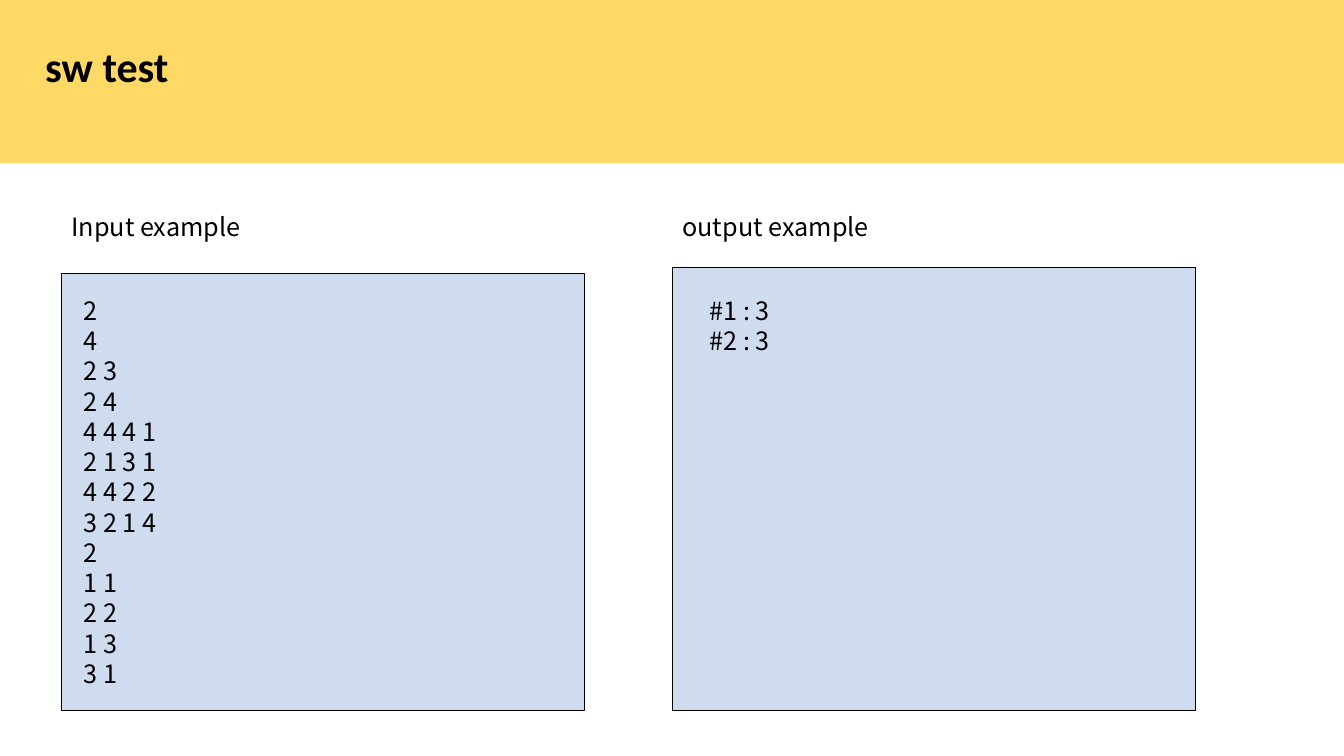
import pptx
import pptx.dml.color
import pptx.enum.shapes
import pptx.enum.text
import pptx.oxml.ns
import pptx.util
from dataclasses import dataclass
from lxml import etree

Inches = pptx.util.Inches
Pt = pptx.util.Pt


@dataclass(frozen=True)
class Theme:
    band: str = "FFD966"
    panel: str = "B4C7E7"
    panel_opacity: int = 64
    ink: str = "000000"
    title_font: str = "Calibri"
    body_font: str = "Noto Sans CJK KR"
    title_size: float = 30
    body_size: float = 18
    body_leading: float = 21.6
    outline: float = 0.5


class SlideBuilder:
    def __init__(self, slide, theme):
        self.slide = slide
        self.theme = theme

    def rectangle(self, left, top, width, height, color):
        shape = self.slide.shapes.add_shape(
            pptx.enum.shapes.MSO_SHAPE.RECTANGLE,
            Inches(left), Inches(top), Inches(width), Inches(height))
        shape.shadow.inherit = False
        shape.fill.solid()
        shape.fill.fore_color.rgb = pptx.dml.color.RGBColor.from_string(color)
        shape.line.fill.background()
        return shape

    def panel(self, left, top, width, height):
        shape = self.rectangle(left, top, width, height, self.theme.panel)
        shape.line.color.rgb = pptx.dml.color.RGBColor.from_string(self.theme.ink)
        shape.line.width = Pt(self.theme.outline)
        qn = pptx.oxml.ns.qn
        color = shape.fill._xPr.find(qn("a:solidFill")).find(qn("a:srgbClr"))
        etree.SubElement(color, qn("a:alpha"), val=str(self.theme.panel_opacity * 1000))

    def text(self, left, top, width, height, content, font, size, bold=False, leading=None):
        box = self.slide.shapes.add_textbox(
            Inches(left), Inches(top), Inches(width), Inches(height))
        frame = box.text_frame
        frame.word_wrap = True
        frame.auto_size = pptx.enum.text.MSO_AUTO_SIZE.SHAPE_TO_FIT_TEXT
        frame.text = content
        for paragraph in frame.paragraphs:
            if leading:
                paragraph.line_spacing = Pt(leading)
            for run in paragraph.runs:
                run.font.name = font
                run.font.size = Pt(size)
                run.font.bold = bold
                run.font.color.rgb = pptx.dml.color.RGBColor.from_string(self.theme.ink)

    def title(self, left, top, width, height, content):
        self.text(left, top, width, height, content,
                  self.theme.title_font, self.theme.title_size, bold=True)

    def body(self, left, top, width, height, content):
        self.text(left, top, width, height, content, self.theme.body_font,
                  self.theme.body_size, leading=self.theme.body_leading)


INPUT_LINES = [
    "2", "4", "2 3", "2 4", "4 4 4 1", "2 1 3 1", "4 4 2 2", "3 2 1 4",
    "2", "1 1", "2 2", "1 3", "3 1",
]
OUTPUT_LINES = ["#1 : 3", "#2 : 3"]
PANEL_WIDTH = 5.19
PANEL_BOTTOM = 7.05

EXAMPLES = [
    ("Input example", INPUT_LINES, 0.61, 2.71, 0.73, 4.34),
    ("output example", OUTPUT_LINES, 6.67, 2.65, 6.94, 1.01),
]


def main():
    presentation = pptx.Presentation()
    presentation.slide_width = Inches(13.33)
    presentation.slide_height = Inches(7.5)
    slide = presentation.slides.add_slide(presentation.slide_layouts[6])
    theme = Theme()
    builder = SlideBuilder(slide, theme)

    builder.rectangle(0, -0.31, 13.89, 1.93, theme.band)
    for heading, lines, left, panel_top, lines_left, lines_height in EXAMPLES:
        builder.body(left, 2.05, 5.31, 0.4, heading)
        builder.panel(left, panel_top, PANEL_WIDTH, PANEL_BOTTOM - panel_top)
        builder.body(lines_left, 2.88, PANEL_WIDTH, lines_height, "\n".join(lines))
    builder.title(0.35, 0.35, 4.24, 0.61, "sw test")

    presentation.save("out.pptx")


if __name__ == "__main__":
    main()
